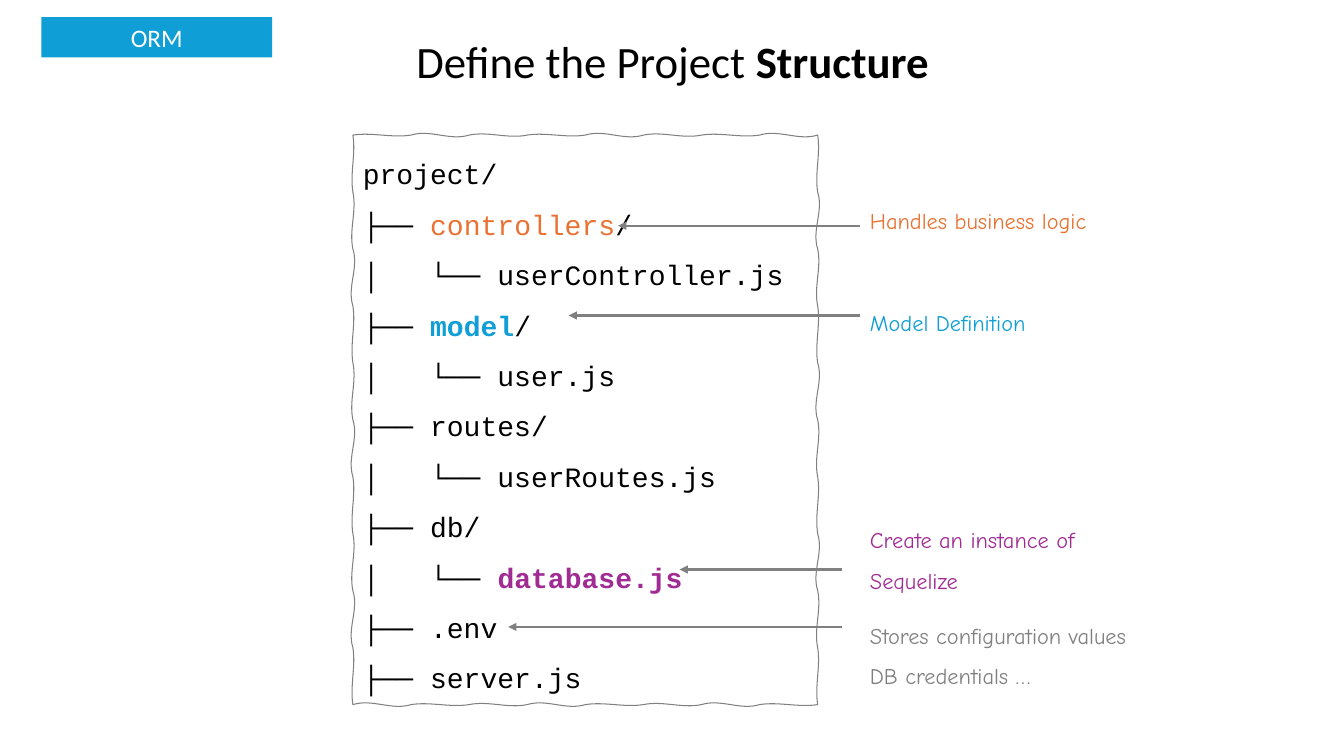
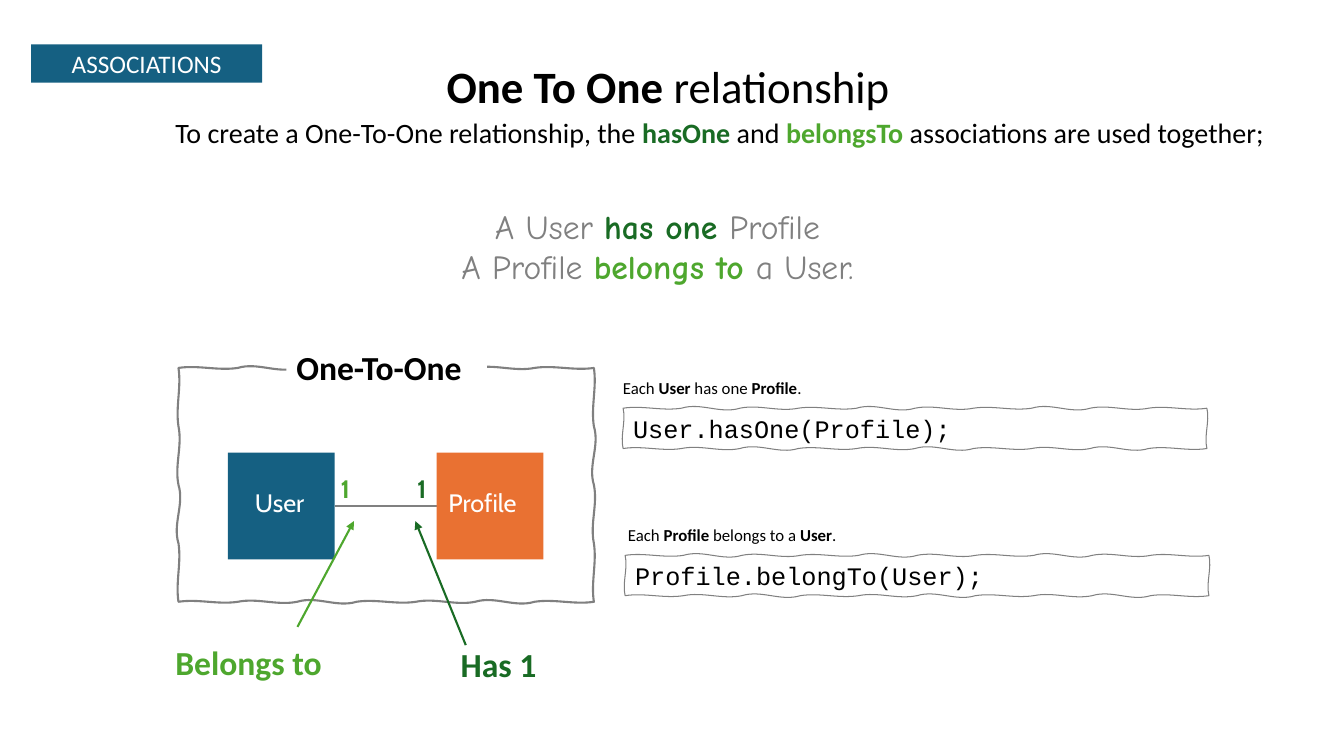
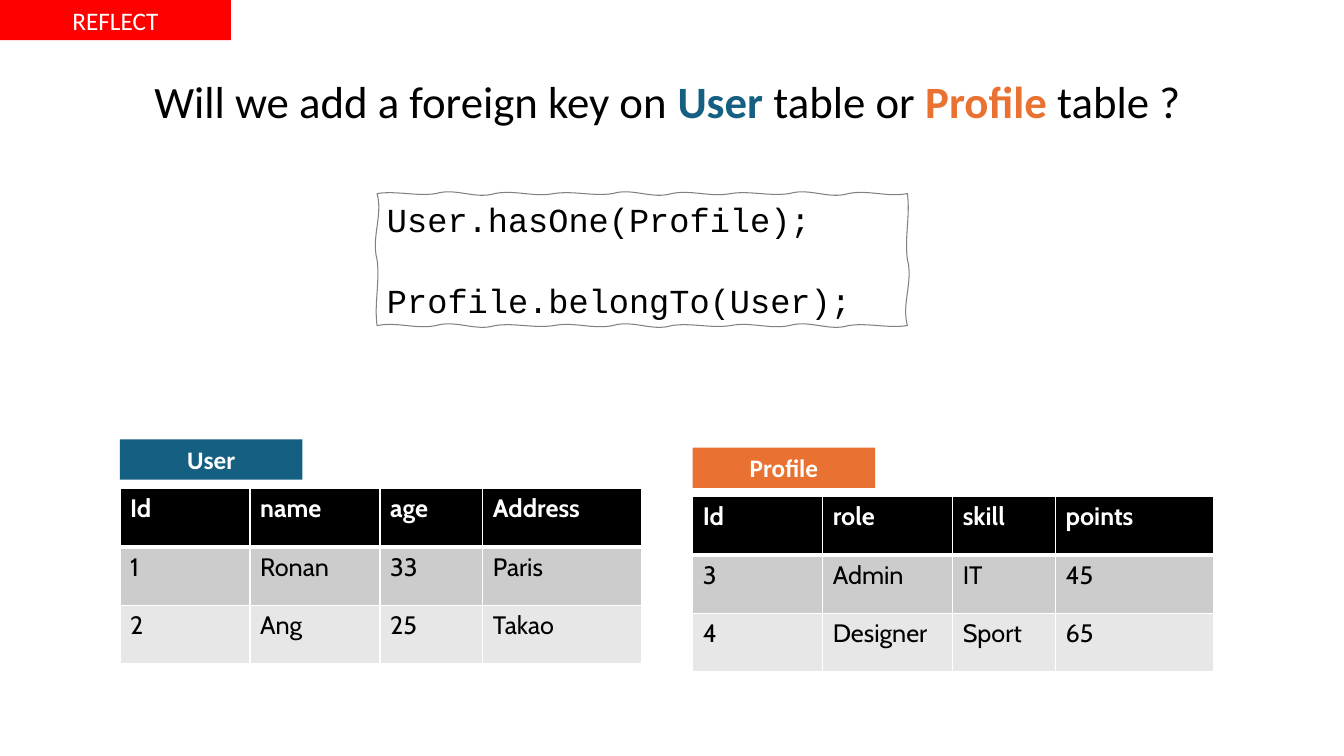
"""Build three slides on object-relational mapping and one-to-one associations."""
import itertools
import math
from dataclasses import dataclass
from typing import NamedTuple

import lxml.etree
import pptx
import pptx.dml.color
import pptx.enum.shapes
import pptx.enum.text
import pptx.oxml.ns
import pptx.util

Inches = pptx.util.Inches
Pt = pptx.util.Pt
RGBColor = pptx.dml.color.RGBColor
Align = pptx.enum.text.PP_ALIGN
Anchor = pptx.enum.text.MSO_ANCHOR
qn = pptx.oxml.ns.qn

BLACK = RGBColor(0x00, 0x00, 0x00)
WHITE = RGBColor(0xFF, 0xFF, 0xFF)
GREY = RGBColor(0x80, 0x80, 0x80)
ORANGE = RGBColor(0xE9, 0x71, 0x32)
SKY = RGBColor(0x0F, 0x9E, 0xD5)
BLUE = RGBColor(0x15, 0x60, 0x82)
PURPLE = RGBColor(0xA0, 0x2B, 0x93)
FOREST = RGBColor(0x19, 0x6B, 0x24)
LEAF = RGBColor(0x4E, 0xA7, 0x2E)
RED = RGBColor(0xFF, 0x00, 0x00)
ROW_FILLS = (BLACK, RGBColor(0xCC, 0xCC, 0xCC), RGBColor(0xE7, 0xE7, 0xE7))

SANS, HAND, CODE, LABEL = "Calibri", "Comic Neue", "Courier New", "Cabin"
TAG_WIDTH = 2.29
ROW_HEIGHT = 0.58
COLUMN_WIDTHS = (1.29, 1.29, 1.02, 1.57)
WAVE_LENGTH = 0.58
WAVE_HEIGHTS = (0.03, 0.06, 0.04)


class Area(NamedTuple):
    left: float
    top: float
    width: float
    height: float

    def lengths(self) -> tuple:
        return tuple(Inches(value) for value in self)


class Span(NamedTuple):
    text: str
    color: RGBColor | None = None
    bold: bool = False


@dataclass(frozen=True)
class Callout:
    lines: tuple
    color: RGBColor
    top: float
    arrow_y: float
    arrow_start: float
    arrow_end: float


@dataclass(frozen=True)
class Entity:
    name: str
    color: RGBColor
    left: float
    top: float
    rows: tuple


@dataclass(frozen=True)
class Association:
    sentence: tuple
    code: str
    left: float
    top: float
    text_left: float


@dataclass(frozen=True)
class Side:
    name: str
    color: RGBColor
    square_left: float
    name_left: float
    name_width: float
    one_left: float
    one_color: RGBColor
    role: str
    role_area: Area
    arrow: tuple


CALLOUTS = (
    Callout(("Handles business logic",), ORANGE, 1.87, 2.24, 8.53, 6.13),
    Callout(("Model Definition",), SKY, 2.88, 3.13, 8.53, 5.64),
    Callout(("Create an instance of", "Sequelize"), PURPLE, 5.04, 5.65, 8.35, 6.74),
    Callout(("Stores configuration values", "DB credentials …"), GREY, 5.99, 6.22, 8.35, 5.04),
)
PROJECT_TREE = (
    "project/",
    ("├── ", Span("controllers", ORANGE), "/"),
    "│   └── userController.js",
    ("├── ", Span("model", SKY, True), "/"),
    "│   └── user.js",
    "├── routes/",
    "│   └── userRoutes.js",
    "├── db/",
    ("│   └── ", Span("database.js", PURPLE, True)),
    "├── .env",
    "├── server.js",
)
USER_BOLD, PROFILE_BOLD = Span("User", None, True), Span("Profile", None, True)
HAS_ONE, BELONG_TO = "User.hasOne(Profile);", "Profile.belongTo(User);"
ASSOCIATIONS = (
    Association(("Each ", USER_BOLD, " has one ", PROFILE_BOLD, "."), HAS_ONE, 6.18, 4.05, 6.08),
    Association(("Each ", PROFILE_BOLD, " belongs to a ", USER_BOLD, "."), BELONG_TO, 6.2, 5.51, 6.13),
)
SIDES = (
    Side("User", BLUE, 2.26, 2.43, 0.71, 3.28, LEAF, "Belongs to",
         Area(1.64, 6.32, 2.29, 0.5), (2.95, 6.22, 3.51, 5.17)),
    Side("Profile", ORANGE, 4.33, 4.35, 0.9, 4.04, FOREST, "Has 1",
         Area(4.47, 6.34, 1.2, 0.5), (4.62, 6.4, 4.12, 5.17)),
)
ENTITIES = (
    Entity("User", BLUE, 1.19, 4.36, (
        ("Id", "name", "age", "Address"),
        ("1", "Ronan", "33", "Paris"),
        ("2", "Ang", "25", "Takao"))),
    Entity("Profile", ORANGE, 6.87, 4.44, (
        ("Id", "role", "skill", "points"),
        ("3", "Admin", "IT", "45"),
        ("4", "Designer", "Sport", "65"))),
)


def write(frame, paragraphs, *, size: float, font: str = SANS, color: RGBColor = BLACK,
          bold: bool = False, align=Align.LEFT, spacing: float = 1.0, gap: float = 0,
          wrap: bool = True) -> None:
    """Fill a text frame with paragraphs, each a string or a tuple of strings and spans."""
    frame.word_wrap = wrap
    frame.auto_size = pptx.enum.text.MSO_AUTO_SIZE.NONE
    for index, content in enumerate(paragraphs):
        para = frame.add_paragraph() if index else frame.paragraphs[0]
        para.alignment = align
        para.line_spacing = spacing
        para.space_before = Pt(gap if index else 0)
        for part in (content,) if isinstance(content, str) else content:
            span = Span(part) if isinstance(part, str) else part
            run = para.add_run()
            run.text = span.text
            run.font.name = font
            run.font.size = Pt(size)
            run.font.bold = bold or span.bold
            run.font.color.rgb = span.color or color


def add_text(page, area: Area, paragraphs, **style) -> None:
    """Add a text box."""
    write(page.shapes.add_textbox(*area.lengths()).text_frame, paragraphs, **style)


def add_block(page, area: Area, fill: RGBColor, text: str = "", **style) -> None:
    """Add a plain filled rectangle, with text if there is any."""
    box = page.shapes.add_shape(pptx.enum.shapes.MSO_SHAPE.RECTANGLE, *area.lengths())
    box.shadow.inherit = False
    box.fill.solid()
    box.fill.fore_color.rgb = fill
    box.line.fill.background()
    if text:
        box.text_frame.vertical_anchor = Anchor.MIDDLE
        write(box.text_frame, [text], **style)


def add_page(deck, title, title_area: Area, tag: str, tag_area: Area, tag_fill: RGBColor):
    """Add a slide with its title and its topic tag."""
    page = deck.slides.add_slide(deck.slide_layouts.get_by_name("Title Only"))
    box = page.shapes.title
    box.left, box.top, box.width, box.height = title_area.lengths()
    box.text_frame.vertical_anchor = Anchor.TOP
    write(box.text_frame, [title], size=32, wrap=False)
    add_block(page, tag_area, tag_fill, tag, size=18, color=WHITE, align=Align.CENTER)
    return page


def add_line(page, start: tuple, end: tuple, color: RGBColor = GREY, arrow: bool = True) -> None:
    """Add a straight line, by default with an arrowhead at its end."""
    line = page.shapes.add_connector(
        pptx.enum.shapes.MSO_CONNECTOR.STRAIGHT, *(Inches(value) for value in start + end))
    line.line.color.rgb = color
    line.line.width = Pt(1.5)
    properties = line._element.spPr
    if arrow:
        lxml.etree.SubElement(properties.find(qn("a:ln")), qn("a:tailEnd"), type="triangle")
    lxml.etree.SubElement(properties, qn("a:effectLst"))


def bend_edge(edge, start: tuple, end: tuple) -> None:
    """Replace a straight edge of an outline by curves that sway to both sides of it."""
    across, down = end[0] - start[0], end[1] - start[1]
    length = math.hypot(across, down)
    waves = max(1, round(length / Inches(WAVE_LENGTH)))
    for wave, height in zip(range(waves), itertools.cycle(WAVE_HEIGHTS)):
        curve = lxml.etree.Element(qn("a:cubicBezTo"))
        for third, side in ((1, -1), (2, 1), (3, 0)):
            share = (wave + third / 3) / waves
            sway = side * Inches(height) / length
            lxml.etree.SubElement(curve, qn("a:pt"),
                                  x=str(round(start[0] + across * share - down * sway)),
                                  y=str(round(start[1] + down * share + across * sway)))
        edge.addprevious(curve)
    edge.getparent().remove(edge)


def add_sketch_frame(page, area: Area, paragraphs=(), width: float = 0.75, **style) -> None:
    """Add a hand-drawn frame, with code in it if there is any."""
    left, top, across, down = area.lengths()
    corners = [(0, 0), (across, 0), (across, down), (0, down), (0, 0)]
    builder = page.shapes.build_freeform(0, 0)
    builder.add_line_segments(corners[1:], close=True)
    box = builder.convert_to_shape(left, top)
    edges = list(box._element.iter(qn("a:lnTo")))
    for edge, start, end in zip(edges, corners, corners[1:]):
        bend_edge(edge, start, end)
    box.shadow.inherit = False
    box.fill.background()
    box.line.color.rgb = GREY
    box.line.width = Pt(width)
    if paragraphs:
        box.text_frame.vertical_anchor = Anchor.TOP
        write(box.text_frame, paragraphs, font=CODE, **style)


def set_header_borders(cell) -> None:
    """Give a header cell white borders with a thick one below."""
    for side, width in (("L", 1), ("R", 1), ("T", 1), ("B", 3)):
        line = lxml.etree.SubElement(cell._tc.get_or_add_tcPr(), qn(f"a:ln{side}"), w=str(Pt(width)))
        fill = lxml.etree.SubElement(line, qn("a:solidFill"))
        lxml.etree.SubElement(fill, qn("a:srgbClr"), val=str(WHITE))


def add_entity(page, entity: Entity) -> None:
    """Add a table of records under its name."""
    area = Area(entity.left, entity.top + 0.485, sum(COLUMN_WIDTHS), ROW_HEIGHT * len(entity.rows))
    table = page.shapes.add_table(len(entity.rows), len(COLUMN_WIDTHS), *area.lengths()).table
    for column, width in zip(table.columns, COLUMN_WIDTHS):
        column.width = Inches(width)
    for row, texts in enumerate(entity.rows):
        header = row == 0
        for column, text in enumerate(texts):
            cell = table.cell(row, column)
            if header:
                set_header_borders(cell)
            cell.fill.solid()
            cell.fill.fore_color.rgb = ROW_FILLS[row]
            write(cell.text_frame, [text], size=18, font=LABEL, bold=header,
                  color=WHITE if header else BLACK)
    add_block(page, Area(entity.left, entity.top, 1.81, 0.4), entity.color, entity.name,
              size=18, color=WHITE, bold=True, align=Align.CENTER)


def build_structure(deck) -> None:
    """Build the slide on the project structure."""
    page = add_page(deck, ("Define the Project ", Span("Structure", None, True)),
                    Area(4.03, 0.28, 5.33, 0.64), "ORM", Area(0.41, 0.17, TAG_WIDTH, 0.4), SKY)
    add_sketch_frame(page, Area(3.5, 1.34, 4.61, 5.65), PROJECT_TREE, size=20, spacing=1.5)
    for note in CALLOUTS:
        add_text(page, Area(8.53, note.top, 3.18 if note.color != GREY else 3.45,
                            0.06 + 0.4 * len(note.lines)), note.lines,
                 size=16, font=HAND, color=note.color, spacing=1.5)
        add_line(page, (note.arrow_start, note.arrow_y), (note.arrow_end, note.arrow_y))


def build_one_to_one(deck) -> None:
    """Build the slide on the one-to-one relationship."""
    page = add_page(deck, (Span("One To One ", None, True), "relationship"),
                    Area(4.33, 0.53, 4.66, 0.64),
                    "ASSOCIATIONS", Area(0.31, 0.44, TAG_WIDTH, 0.38), BLUE)
    add_text(page, Area(1.64, 1.1, 11.06, 0.44), [(
        "To create a One-To-One relationship, the ", Span("hasOne", FOREST, True), " and ",
        Span("belongsTo", LEAF, True), " associations are used together;")], size=20, wrap=False)
    add_text(page, Area(4.21, 1.99, 4.62, 0.91), [
        ("A User ", Span("has one ", FOREST, True), "Profile"),
        ("A Profile ", Span("belongs to ", LEAF, True), "a User."),
    ], size=24, font=HAND, color=GREY, align=Align.CENTER, wrap=False)
    add_sketch_frame(page, Area(1.77, 3.65, 4.12, 2.32), width=1.5)
    add_block(page, Area(2.84, 3.39, 1.99, 0.5), WHITE, "One-To-One", size=24, bold=True)
    add_line(page, (3.32, 5.02), (4.33, 5.02), arrow=False)
    for side in SIDES:
        add_block(page, Area(side.square_left, 4.49, 1.06, 1.06), side.color)
        add_text(page, Area(side.name_left, 4.79, side.name_width, 0.4), [side.name],
                 size=18, font=LABEL, color=WHITE, wrap=False)
        add_text(page, Area(side.one_left, 4.65, 0.34, 0.4), ["1"],
                 size=18, font=LABEL, color=side.one_color, bold=True, wrap=False)
        add_line(page, side.arrow[:2], side.arrow[2:], side.one_color)
        add_text(page, side.role_area, [side.role], size=24, color=side.one_color, bold=True)
    for item in ASSOCIATIONS:
        add_text(page, Area(item.text_left, item.top - 0.35, 2.83, 0.3), [item.sentence], size=12)
        add_sketch_frame(page, Area(item.left, item.top, 5.79, 0.4), [item.code], size=18)


def build_foreign_key(deck) -> None:
    """Build the slide that asks where the foreign key goes."""
    page = add_page(deck, ("Will we add a foreign key on ", Span("User", BLUE, True), " table or ",
                           Span("Profile", ORANGE, True), " table ?"),
                    Area(1.43, 0.68, 10.48, 0.64),
                    "REFLECT", Area(0, 0, TAG_WIDTH, 0.4), RED)
    add_sketch_frame(page, Area(3.74, 1.92, 5.26, 1.31), [HAS_ONE, BELONG_TO], size=24, gap=29)
    for entity in ENTITIES:
        add_entity(page, entity)


def main() -> None:
    """Build and save the deck."""
    deck = pptx.Presentation()
    deck.slide_width, deck.slide_height = Inches(13.33), Inches(7.5)
    for build in (build_structure, build_one_to_one, build_foreign_key):
        build(deck)
    deck.save("out.pptx")


if __name__ == "__main__":
    main()
